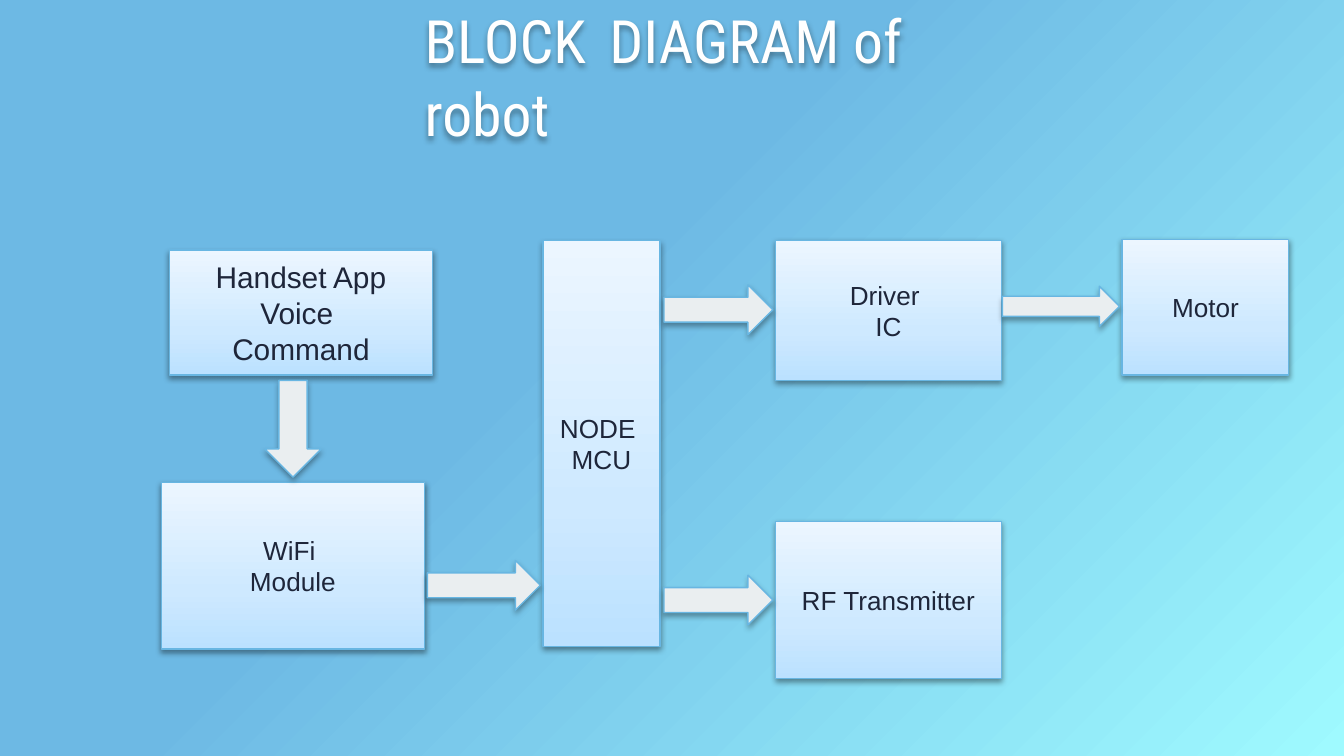
from lxml import etree
from pptx import Presentation
from pptx import oxml
from pptx import util as u
from pptx.dml.color import RGBColor
from pptx.enum import shapes, text
from pptx.oxml import ns

WHITE = RGBColor(0xFF, 0xFF, 0xFF)
INK = RGBColor(0x1E, 0x26, 0x3A)
EDGE = RGBColor(0x68, 0xB6, 0xE2)
ARROW = RGBColor(0xEA, 0xEE, 0xF0)
SKY = RGBColor(0x6D, 0xB9, 0xE4)
AQUA = RGBColor(0x9F, 0xFA, 0xFF)
BACKGROUND = [(0, AQUA), (58, SKY), (100, SKY)]
BLOCK = [(0, RGBColor(0xBB, 0xE1, 0xFF)), (35, RGBColor(0xCE, 0xE9, 0xFF)),
         (100, RGBColor(0xEC, 0xF6, 0xFF))]
CORNER = '<a:path path="circle"><a:fillToRect l="100000" t="100000"/></a:path>'
UPWARD = '<a:lin ang="16200000" scaled="0"/>'

TITLE = [("BLOCK", 32), (" ", 54), ("DIAGRAM of robot", 32)]
BLOCKS = [
    (["Handset App Voice ", "Command"], 16, (1.26, 1.86, 1.96, 0.93)),
    (["WiFi ", "Module"], 14, (1.2, 3.59, 1.96, 1.24)),
    (["NODE ", "MCU"], 14, (4.04, 1.79, 0.87, 3.02)),
    (["Driver ", "IC"], 14, (5.77, 1.79, 1.68, 1.04)),
    (["RF Transmitter"], 14, (5.77, 3.88, 1.68, 1.17)),
    (["Motor"], 14, (8.35, 1.78, 1.24, 1.01)),
]
ARROWS = [
    (90, (1.82, 2.98, 0.72, 0.42)),
    (0, (3.18, 4.17, 0.84, 0.37)),
    (0, (4.94, 2.12, 0.81, 0.37)),
    (0, (4.94, 4.28, 0.81, 0.37)),
    (0, (7.46, 2.13, 0.87, 0.3)),
]


def gradient(fill, owner, stops, direction):
    fill.gradient()
    old = owner.find(".//" + ns.qn("a:gradFill"))
    marks = "".join(f'<a:gs pos="{place * 1000}"><a:srgbClr val="{color}"/></a:gs>'
                    for place, color in stops)
    new = oxml.parse_xml(f'<a:gradFill {ns.nsdecls("a")} rotWithShape="1">'
                         f'<a:gsLst>{marks}</a:gsLst>{direction}</a:gradFill>')
    old.getparent().replace(old, new)


def add_shadow(part, distance, opacity):
    part.shadow.inherit = False
    effects = part.element.spPr.find(ns.qn("a:effectLst"))
    shadow = etree.SubElement(effects, ns.qn("a:outerShdw"), blurRad=str(u.Pt(3.1)),
                              dist=str(u.Pt(distance)), dir="5400000", rotWithShape="0")
    color = etree.SubElement(shadow, ns.qn("a:srgbClr"), val="000000")
    etree.SubElement(color, ns.qn("a:alpha"), val=str(opacity * 1000))


def add_span(para, words, *, size, font, color):
    span = para.add_run()
    span.text = words
    span.font.size = u.Pt(size)
    span.font.name = font
    span.font.color.rgb = color


def add_part(page, kind, place, distance, opacity):
    part = page.shapes.add_shape(kind, *map(u.Inches, place))
    part.line.color.rgb = EDGE
    part.line.width = u.Pt(0.75)
    add_shadow(part, distance, opacity)
    return part


def add_title(page):
    box = page.shapes.add_textbox(*map(u.Inches, (3.16, -0.04, 3.74, 1.02)))
    add_shadow(box, 1.8, 35)
    frame = box.text_frame
    frame.word_wrap = True
    frame.vertical_anchor = text.MSO_ANCHOR.MIDDLE
    frame.margin_left = frame.margin_right = frame.margin_top = frame.margin_bottom = 0
    para = frame.paragraphs[0]
    para.line_spacing = 0.9
    for words, size in TITLE:
        add_span(para, words, size=size, font="Roboto Condensed", color=WHITE)


def add_block(page, lines, size, place):
    block = add_part(page, shapes.MSO_SHAPE.RECTANGLE, place, 1.6, 38)
    gradient(block.fill, block.element.spPr, BLOCK, UPWARD)
    frame = block.text_frame
    frame.word_wrap = True
    frame.vertical_anchor = text.MSO_ANCHOR.MIDDLE
    for index, words in enumerate(lines):
        para = frame.add_paragraph() if index else frame.paragraphs[0]
        para.alignment = text.PP_ALIGN.CENTER
        add_span(para, words, size=size, font="Arial", color=INK)


def add_arrow(page, turn, place):
    arrow = add_part(page, shapes.MSO_SHAPE.RIGHT_ARROW, place, 1.8, 35)
    arrow.fill.solid()
    arrow.fill.fore_color.rgb = ARROW
    arrow.rotation = turn


def main():
    deck = Presentation()
    deck.slide_width = u.Inches(10)
    deck.slide_height = deck.slide_width * 9 // 16
    page = deck.slides.add_slide(deck.slide_layouts[6])
    gradient(page.background.fill, page.element, BACKGROUND, CORNER)
    add_title(page)
    for block in BLOCKS:
        add_block(page, *block)
    for arrow in ARROWS:
        add_arrow(page, *arrow)
    deck.save("out.pptx")


if __name__ == "__main__":
    main()
